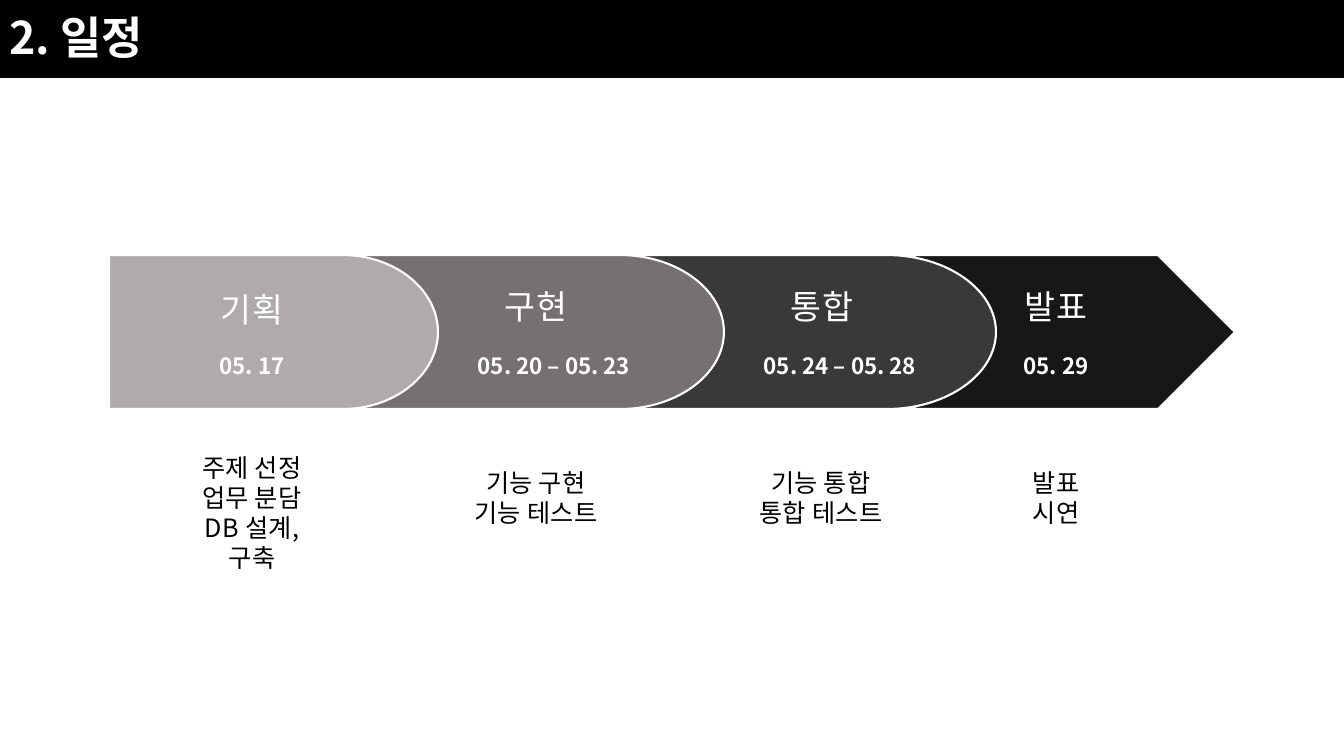
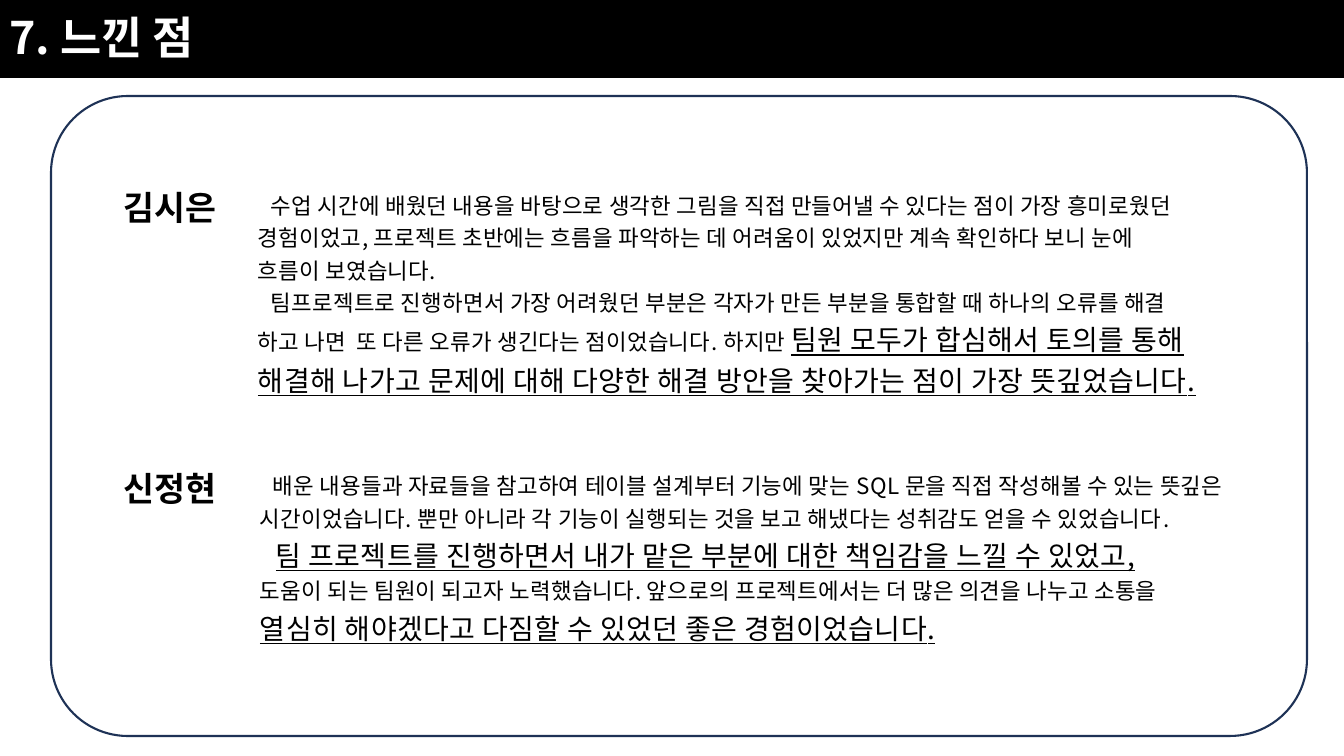
"""Build two project slides: a schedule arrow and the team's reflections."""
from lxml.etree import SubElement
from pptx import Presentation
from pptx.dml.color import RGBColor
from pptx.enum.shapes import MSO_SHAPE
from pptx.enum.text import MSO_ANCHOR, MSO_AUTO_SIZE, PP_ALIGN
from pptx.oxml.ns import qn
from pptx.util import Pt

WIDTH, HEIGHT = 1344, 756
SCALE = 12192000 / WIDTH
FONT = "Noto Sans CJK KR"
BLACK, WHITE, NAVY = "000000", "FFFFFF", "1E3256"
BAND_HEIGHT = 78
LINE_FACTOR = 1.19
TRACKING = 1.25

SCHEDULE_TITLE = "2. 일정"
ARROW_TOP, ARROW_HEIGHT = 255, 154
ROUND_SHARE, CURVE_PULL = 0.29, 0.55
NAME_WIDTH, TASK_WIDTH = 196, 150
DATE_TOP = 347
STAGES = [
    dict(name="기획", date="05. 17", tasks=["주제 선정", "업무 분담", "DB 설계, 구축"],
         left=109, right=438, fill="AFABAB", label_left=154, name_top=284,
         date_width=196, task_center=252, task_top=448),
    dict(name="구현", date="05. 20 – 05. 23", tasks=["기능 구현", "기능 테스트"],
         left=365, right=724, fill="767171", label_left=438, name_top=281,
         date_width=232, task_center=536, task_top=463),
    dict(name="통합", date="05. 24 – 05. 28", tasks=["기능 통합", "통합 테스트"],
         left=619, right=996, fill="3B3838", label_left=724, name_top=281,
         date_width=232, task_center=821, task_top=463),
    dict(name="발표", date="05. 29", tasks=["발표", "시연"],
         left=915, right=1235, fill="181717", label_left=958, name_top=281,
         date_width=196, task_center=1056, task_top=463),
]

REFLECTION_TITLE = "7. 느낀 점"
PLAIN, STRONG = 16, 20
LINE_POINTS = {PLAIN: 23, STRONG: 29}
INDENTS = {PLAIN: 13, STRONG: 16}
REFLECTIONS = [
    dict(author="김시은", top=182, box=(248, 978, 220), paragraphs=[
        (True, [("수업 시간에 배웠던 내용을 바탕으로 생각한 그림을 직접 만들어낼 수 있다는 점이 가장 흥미로웠던", PLAIN)]),
        (False, [("경험이었고, 프로젝트 초반에는 흐름을 파악하는 데 어려움이 있었지만 계속 확인하다 보니 눈에", PLAIN)]),
        (False, [("흐름이 보였습니다.", PLAIN)]),
        (True, [("팀프로젝트로 진행하면서 가장 어려웠던 부분은 각자가 만든 부분을 통합할 때 하나의 오류를 해결", PLAIN)]),
        (False, [("하고 나면  또 다른 오류가 생긴다는 점이었습니다. 하지만 ", PLAIN),
                 ("팀원 모두가 합심해서 토의를 통해 해결해 나가고 문제에 대해 다양한 해결 방안을 "
                  "찾아가는 점이 가장 뜻깊었습니다.", STRONG)]),
    ]),
    dict(author="신정현", top=463, box=(250, 1003, 186), paragraphs=[
        (True, [("배운 내용들과 자료들을 참고하여 테이블 설계부터 기능에 맞는 SQL 문을 직접 작성해볼 수 있는 뜻깊은 "
                 "시간이었습니다. 뿐만 아니라 각 기능이 실행되는 것을 보고 해냈다는 성취감도 얻을 수 있었습니다.", PLAIN)]),
        (True, [("팀 프로젝트를 진행하면서 내가 맡은 부분에 대한 책임감을 느낄 수 있었고,", STRONG)]),
        (False, [("도움이 되는 팀원이 되고자 노력했습니다. 앞으로의 프로젝트에서는 더 많은 의견을 나누고 소통을", PLAIN)]),
        (False, [("열심히 해야겠다고 다짐할 수 있었던 좋은 경험이었습니다.", STRONG)]),
    ]),
]


def px(length):
    return round(length * SCALE)


def color(value):
    return RGBColor.from_string(value)


def set_tracking(properties, size):
    properties.set("spc", str(round(size * TRACKING)))


def style_paragraph(para, size, ink, bold=False, align=PP_ALIGN.LEFT, line_points=None):
    para.alignment = align
    para.line_spacing = Pt(line_points or round(size * LINE_FACTOR, 1))
    font = para.font
    font.size, font.bold, font.name = Pt(size), bold, FONT
    font.color.rgb = color(ink)
    properties = para._p.pPr.find(qn("a:defRPr"))
    SubElement(properties, qn("a:ea")).set("typeface", FONT)
    if not bold:
        set_tracking(properties, size)


def add_text_box(page, left, top, width, height):
    box = page.shapes.add_textbox(px(left), px(top), px(width), px(height))
    box.text_frame.word_wrap = True
    return box.text_frame


def add_label(page, lines, left, top, width, size, ink, bold=False):
    height = round(len(lines) * size * 1.4 * LINE_FACTOR) + 10
    frame = add_text_box(page, left, top, width, height)
    frame.text = "\n".join(lines)
    for para in frame.paragraphs:
        style_paragraph(para, size, ink, bold, PP_ALIGN.CENTER)


def add_page(deck, heading):
    page = deck.slides.add_slide(deck.slide_layouts[5])
    title = page.shapes.title
    title.left, title.top, title.width, title.height = 0, 0, px(WIDTH), px(BAND_HEIGHT)
    title.fill.solid()
    title.fill.fore_color.rgb = color(BLACK)
    frame = title.text_frame
    frame.text = heading
    frame.auto_size = MSO_AUTO_SIZE.NONE
    frame.vertical_anchor = MSO_ANCHOR.MIDDLE
    frame.margin_left = frame.margin_right = px(9)
    frame.margin_top, frame.margin_bottom = 0, px(4)
    style_paragraph(frame.paragraphs[0], 32, WHITE, bold=True)
    return page


def style_shape(shape, line, fill=None):
    shape.shadow.inherit = False
    shape.line.color.rgb = color(line)
    shape.line.width = Pt(1.5)
    if fill:
        shape.fill.solid()
        shape.fill.fore_color.rgb = color(fill)
    else:
        shape.fill.background()


def bend(segment, controls):
    end = segment.find(qn("a:pt"))
    segment.tag = qn("a:cubicBezTo")
    for x, y in controls:
        control = end.makeelement(qn("a:pt"), {"x": str(px(x)), "y": str(px(y))})
        end.addprevious(control)


def add_rounded_stage(page, left, right):
    width, bottom = right - left, ARROW_TOP + ARROW_HEIGHT
    radius_x, radius_y = ROUND_SHARE * width, ARROW_HEIGHT / 2
    bend_x = right - radius_x
    corners = [(bend_x, ARROW_TOP), (right, ARROW_TOP + radius_y), (bend_x, bottom), (left, bottom)]
    builder = page.shapes.build_freeform(px(left), px(ARROW_TOP))
    builder.add_line_segments([(px(x), px(y)) for x, y in corners], close=True)
    shape = builder.convert_to_shape()
    segments = list(shape._element.iter(qn("a:lnTo")))
    near_x = width - radius_x * (1 - CURVE_PULL)
    pull_y = radius_y * CURVE_PULL
    bend(segments[1], [(near_x, 0), (width, radius_y - pull_y)])
    bend(segments[2], [(width, radius_y + pull_y), (near_x, ARROW_HEIGHT)])
    return shape


def build_schedule(deck):
    page = add_page(deck, SCHEDULE_TITLE)
    for stage in reversed(STAGES):
        left, right = stage["left"], stage["right"]
        if stage is STAGES[-1]:
            shape = page.shapes.add_shape(MSO_SHAPE.PENTAGON, px(left), px(ARROW_TOP),
                                          px(right - left), px(ARROW_HEIGHT))
        else:
            shape = add_rounded_stage(page, left, right)
        style_shape(shape, WHITE, stage["fill"])
    for stage in STAGES:
        left = stage["label_left"]
        add_label(page, [stage["name"]], left, stage["name_top"], NAME_WIDTH, 24, WHITE)
        add_label(page, [stage["date"]], left, DATE_TOP, stage["date_width"], 16, WHITE, bold=True)
        add_label(page, stage["tasks"], stage["task_center"] - TASK_WIDTH / 2,
                  stage["task_top"], TASK_WIDTH, 18, BLACK)


def add_reflection(page, reflection):
    top = reflection["top"]
    add_label(page, [reflection["author"]], 91, top, 158, 24, BLACK, bold=True)
    left, width, height = reflection["box"]
    frame = add_text_box(page, left, top, width, height)
    frame.vertical_anchor = MSO_ANCHOR.MIDDLE
    for index, (indented, spans) in enumerate(reflection["paragraphs"]):
        para = frame.paragraphs[0] if index == 0 else frame.add_paragraph()
        largest = max(size for _, size in spans)
        style_paragraph(para, spans[0][1], BLACK, line_points=LINE_POINTS[largest])
        if indented:
            para._p.pPr.set("indent", str(px(INDENTS[largest])))
        for text, size in spans:
            span = para.add_run()
            span.text = text
            if size == STRONG:
                span.font.size = Pt(size)
                span.font.underline = True
                set_tracking(span._r.get_or_add_rPr(), size)


def build_reflections(deck):
    page = add_page(deck, REFLECTION_TITLE)
    frame = page.shapes.add_shape(MSO_SHAPE.ROUNDED_RECTANGLE, px(51), px(96), px(1256), px(640))
    frame.adjustments[0] = 0.12
    style_shape(frame, NAVY)
    for reflection in REFLECTIONS:
        add_reflection(page, reflection)


def main():
    deck = Presentation()
    deck.slide_width, deck.slide_height = px(WIDTH), px(HEIGHT)
    build_schedule(deck)
    build_reflections(deck)
    deck.save("out.pptx")


if __name__ == "__main__":
    main()
